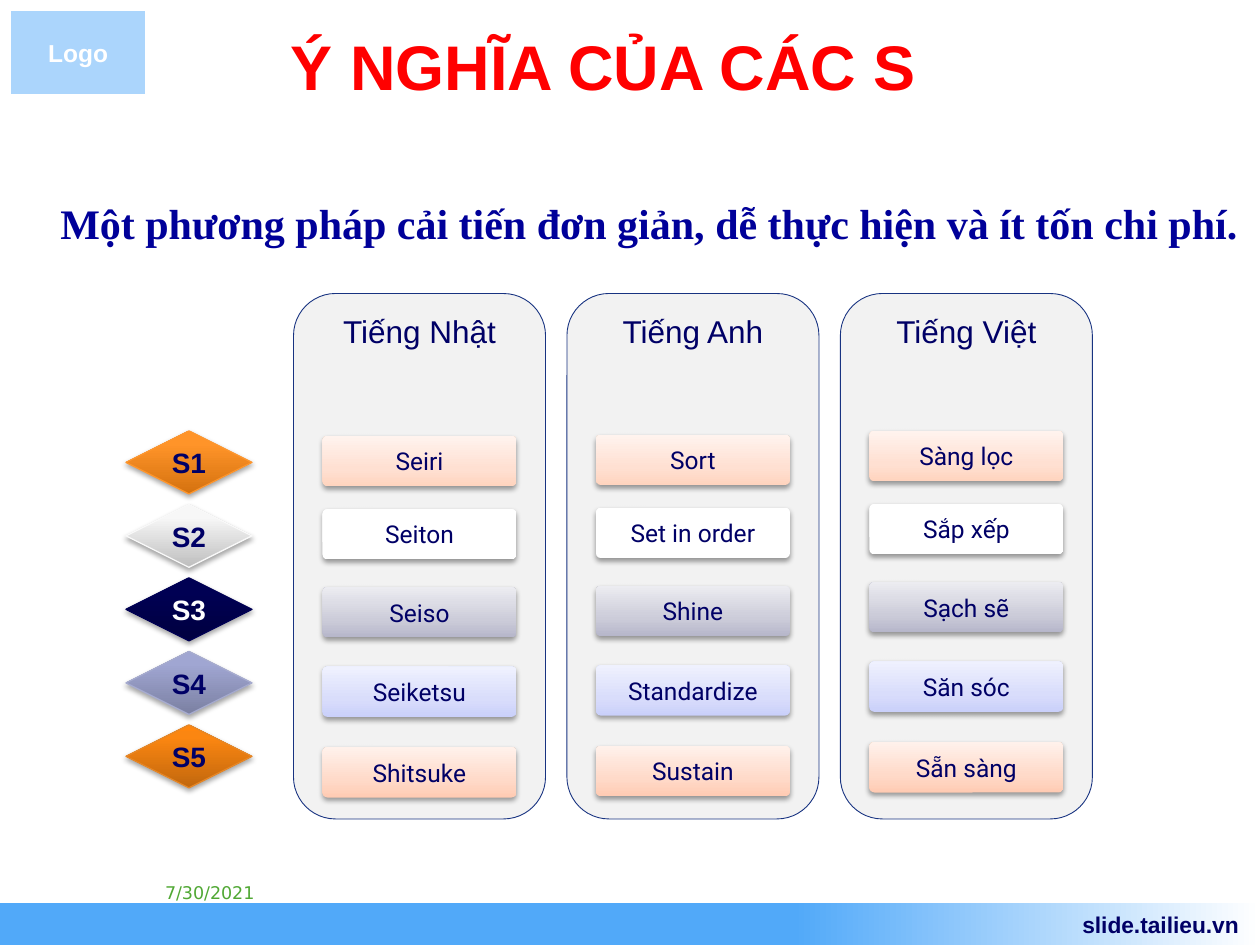
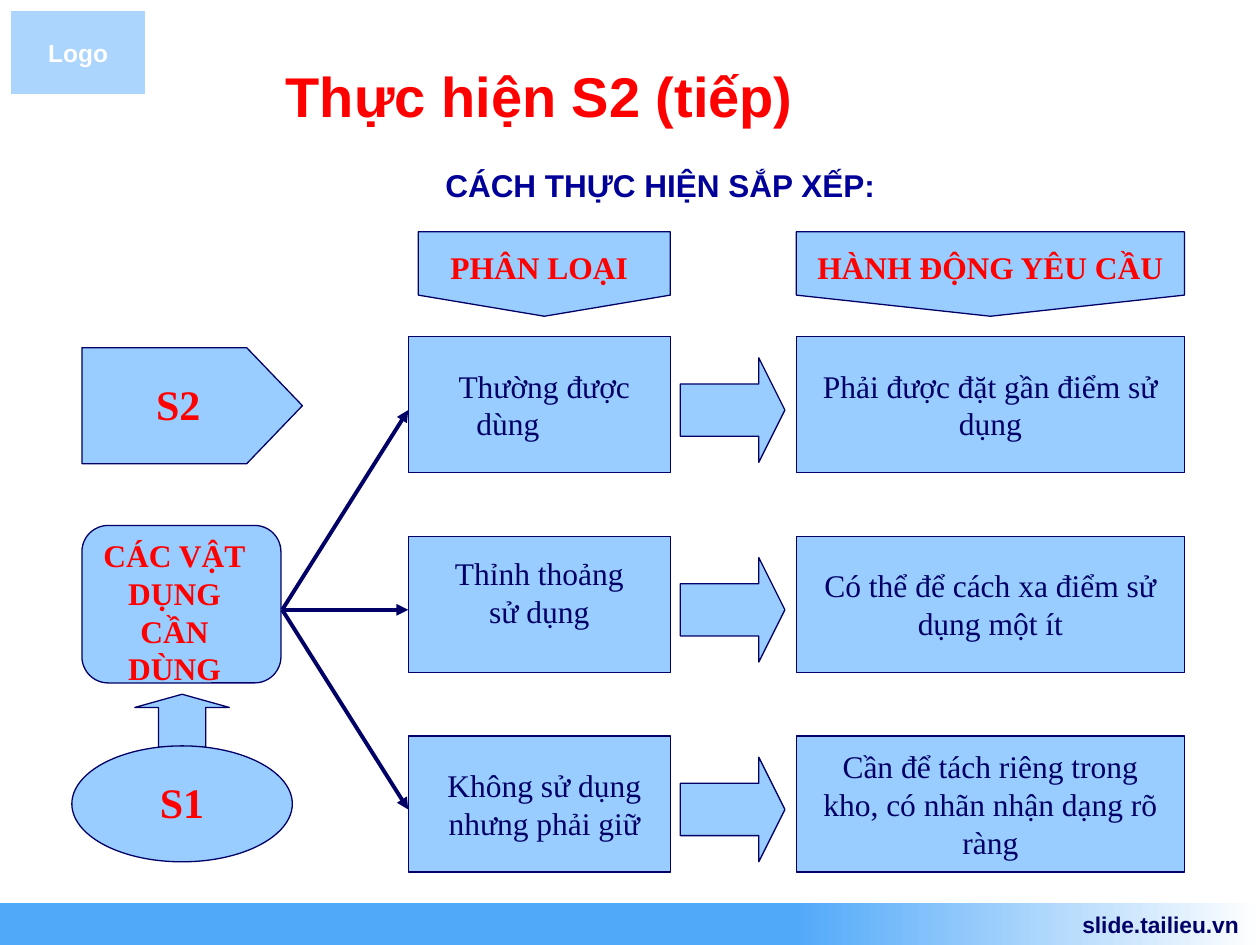
from dataclasses import dataclass

from lxml import etree
from pptx import Presentation
from pptx.dml.color import RGBColor
from pptx.enum.shapes import MSO_CONNECTOR, MSO_SHAPE
from pptx.enum.text import MSO_ANCHOR, PP_ALIGN
from pptx.oxml.ns import qn
from pptx.util import Inches, Pt

RECT, ROUND_RECT = MSO_SHAPE.RECTANGLE, MSO_SHAPE.ROUNDED_RECTANGLE
DIAMOND, OVAL, PENTAGON = MSO_SHAPE.DIAMOND, MSO_SHAPE.OVAL, MSO_SHAPE.PENTAGON
RIGHT_ARROW, UP_ARROW = MSO_SHAPE.RIGHT_ARROW, MSO_SHAPE.UP_ARROW
STRAIGHT = MSO_CONNECTOR.STRAIGHT
LEFT, CENTER = PP_ALIGN.LEFT, PP_ALIGN.CENTER
TOP, MIDDLE = MSO_ANCHOR.TOP, MSO_ANCHOR.MIDDLE


@dataclass(frozen=True)
class Theme:
    navy: str = "000066"
    heading: str = "000099"
    red: str = "FF0000"
    white: str = "FFFFFF"
    green: str = "50A834"
    band: str = "51A9F9"
    panel: str = "F2F2F2"
    panel_line: str = "183381"
    box: str = "99CCFF"
    sans: str = "Arial"
    serif: str = "Times New Roman"
    cell_font: str = "Roboto"
    date_font: str = "DejaVu Sans"
    title: int = 36
    title_small: int = 32
    lead: int = 24
    body: int = 18
    badge: int = 16
    small: int = 14
    footer: int = 13
    date: int = 10


T = Theme()


def style(size, color=T.navy, name=T.sans, bold=False):
    return {"size": Pt(size), "name": name, "bold": bold, "color": color}


TITLE = style(T.title, T.red, bold=True)
TITLE_SMALL = style(T.title_small, T.red, bold=True)
LEAD = style(T.lead, T.heading, T.serif, True)
SUBTITLE = style(T.body, T.heading, bold=True)
COLUMN_HEAD = style(T.body)
CELL = style(T.small, name=T.cell_font)
STEP = style(T.lead, T.red, T.serif, True)
FLOW_HEAD = style(T.body, T.red, T.serif, True)
FLOW_BODY = style(T.body, name=T.serif)
FOOTER = style(T.footer, bold=True)
LOGO = style(T.small, T.white, bold=True)
DATE = style(T.date, T.green, T.date_font)

# Rows of the table of S words: badge colours, then cell colours
BADGES = [
    (["D5720F", "FF9429", "FF952B"], "FE962D", T.navy),
    (["BEBEBE", "F7F7F7", "F8F8F8"], "F9F9F9", T.navy),
    (["000040", "000053", "000054"], "000054", T.white),
    (["7B80A2", "A0A6D2", "A0A6D4"], "A6ABCF", T.navy),
    (["C1670D", "FB8611", "FF860E"], "E68727", T.navy),
]
CELL_ROWS = [
    (3.46, ["FFD4BF", "FFE0D2", "FFF3EE"]),
    (4.04, [T.white] * 3),
    (4.66, ["B6B6CA", "CCCCD9", "ECECF1"]),
    (5.29, ["CAD0FA", "D9DDFB", "EFF1FE"]),
    (5.93, ["FFCBB3", "FFDAC9", "FFF1EB"]),
]
# Heading, rise of the cells, words
LANGUAGES = [
    ("Tiếng Nhật", 0, ["Seiri", "Seiton", "Seiso", "Seiketsu", "Shitsuke"]),
    ("Tiếng Anh", 0.01, ["Sort", "Set in order", "Shine", "Standardize", "Sustain"]),
    ("Tiếng Việt", 0.04, ["Sàng lọc", "Sắp xếp", "Sạch sẽ", "Săn sóc", "Sẵn sàng"]),
]
# Category lines with right indents, shift of the category text, action
FLOW_ROWS = [
    ([("Thường được", 0), ("dùng", 0.58)], (0.04, 0),
     "Phải được đặt gần điểm sử dụng"),
    ([("Thỉnh thoảng sử dụng", 0)], (0, -0.1),
     "Có thể để cách xa điểm sử dụng một ít"),
    ([("Không sử dụng nhưng phải giữ", 0)], (0.04, 0),
     "Cần để tách riêng trong kho, có nhãn nhận dạng rõ ràng"),
]


def rgb(value):
    return RGBColor.from_string(value)


def write(sp, lines, fmt, align=CENTER, anchor=MIDDLE, wrap=True,
          margin=(0.1, 0.05), shift=(0, 0)):
    """Fill a shape with lines, each a text or a (text, right indent) pair."""
    tf = sp.text_frame
    (mx, my), (dx, dy) = margin, shift
    frame = {"word_wrap": wrap, "vertical_anchor": anchor,
             "margin_left": Inches(mx + dx), "margin_right": Inches(mx - dx),
             "margin_top": Inches(my + dy), "margin_bottom": Inches(my - dy)}
    for key, value in frame.items():
        setattr(tf, key, value)
    for i, line in enumerate([lines] if isinstance(lines, str) else lines):
        text, indent = (line, 0) if isinstance(line, str) else line
        p = tf.add_paragraph() if i else tf.paragraphs[0]
        p.alignment = align
        if indent:
            p._p.get_or_add_pPr().set("marR", str(Inches(indent)))
        r = p.add_run()
        r.text = text
        for key, value in fmt.items():
            if key == "color":
                r.font.color.rgb = rgb(value)
            else:
                setattr(r.font, key, value)


def add_text(s, box, lines, fmt, **options):
    sp = s.shapes.add_textbox(*map(Inches, box))
    write(sp, lines, fmt, **options)


def add_shape(s, kind, box, fill=T.box, line=T.navy, width=0.75, adj=()):
    sp = s.shapes.add_shape(kind, *map(Inches, box))
    sp.shadow.inherit = False
    sp.fill.solid()
    sp.fill.fore_color.rgb = rgb(fill)
    if line:
        sp.line.color.rgb = rgb(line)
        sp.line.width = Pt(width)
    else:
        sp.line.fill.background()
    for i, value in enumerate(adj):
        sp.adjustments[i] = value
    return sp


def set_gradient(sp, colors, positions, angle):
    sp.fill.gradient()
    sp.fill.gradient_angle = angle
    stops = sp._element.spPr.find(qn("a:gradFill")).find(qn("a:gsLst"))
    for stop in list(stops):
        stops.remove(stop)
    for color, pos in zip(colors, positions):
        stop = etree.SubElement(stops, qn("a:gs"), pos=str(pos * 1000))
        etree.SubElement(stop, qn("a:srgbClr"), val=color)


def set_alpha(sp, percent):
    color = sp._element.spPr.find(qn("a:solidFill"))[0]
    etree.SubElement(color, qn("a:alpha"), val=str(percent * 1000))


def add_shadow(sp, percent):
    effects = sp._element.spPr.find(qn("a:effectLst"))
    shadow = etree.SubElement(effects, qn("a:outerShdw"), blurRad=str(Pt(3.1)),
                              dist=str(Pt(1.7)), dir="5400000", rotWithShape="0")
    color = etree.SubElement(shadow, qn("a:srgbClr"), val="000000")
    etree.SubElement(color, qn("a:alpha"), val=str(percent * 1000))


def add_arrow(s, start, end):
    c = s.shapes.add_connector(STRAIGHT, *map(Inches, start + end))
    c.line.color.rgb = rgb(T.navy)
    c.line.width = Pt(2.25)
    etree.SubElement(c.line._get_or_add_ln(), qn("a:tailEnd"), type="triangle")
    etree.SubElement(c._element.spPr, qn("a:effectLst"))


def add_down_plate(s, left, width, text, shift=0):
    """Heading plate whose point faces down, with upright text over it."""
    top, height = 1.84, 0.67
    box = (left + (width - height) / 2, top + (height - width) / 2, height, width)
    sp = add_shape(s, PENTAGON, box, adj=[0.25])
    sp.rotation = 90
    add_text(s, (left + shift, 1.92, width, 0.4), text, FLOW_HEAD)


def add_slide(prs):
    """Blank slide with the footer band, the site address and the logo block."""
    s = prs.slides.add_slide(prs.slide_layouts[6])
    band = add_shape(s, RECT, (0, 7.17, 10, 0.33), line=None)
    set_gradient(band, [T.band, T.band, T.white], [0, 63, 100], 0)
    add_text(s, (8.42, 7.18, 1.58, 0.32), "slide.tailieu.vn", FOOTER, wrap=False)
    logo = add_shape(s, RECT, (0.08, 0.08, 1.08, 0.67), T.band, T.white, 1)
    set_alpha(logo, 48)
    write(logo, "Logo", LOGO, wrap=False)
    return s


def add_badge(s, number, colors, line, text_color):
    sp = add_shape(s, DIAMOND, (1, 3.42 + (number - 1) * 7 / 12, 1, 0.5), line=line)
    set_gradient(sp, colors, [0, 80, 100], 90)
    add_shadow(sp, 35)
    write(sp, f"S{number}", style(T.badge, text_color, bold=True),
          wrap=False, margin=(0, 0))


def add_language_column(s, left, heading, rise, words):
    panel = add_shape(s, ROUND_RECT, (left, 2.33, 2, 4.17), T.panel, T.panel_line, 0.5)
    write(panel, heading, COLUMN_HEAD, anchor=TOP)
    for word, (top, colors) in zip(words, CELL_ROWS):
        cell = add_shape(s, ROUND_RECT, (left + 0.23, top - rise, 1.54, 0.4),
                         line=None, adj=[0.1])
        set_gradient(cell, colors, [0, 35, 100], 90)
        add_shadow(cell, 38)
        write(cell, word, CELL, margin=(0.04, 0.03))


def build_meaning_slide(prs):
    s = add_slide(prs)
    add_text(s, (0.75, 0.21, 8.08, 0.62), "Ý NGHĨA CỦA CÁC S", TITLE)
    add_text(s, (0.5, 6.95, 2.33, 0.4), "7/30/2021", DATE, anchor=TOP)
    add_text(s, (0.38, 1.52, 9.58, 0.82),
             "Một phương pháp cải tiến đơn giản, dễ thực hiện và ít tốn chi phí.",
             LEAD, align=LEFT, anchor=TOP, wrap=False)
    for i, language in enumerate(LANGUAGES):
        add_language_column(s, 2.33 + 2.17 * i, *language)
    for number, badge in enumerate(BADGES, 1):
        add_badge(s, number, *badge)


def build_sorting_slide(prs):
    s = add_slide(prs)
    add_text(s, (2.17, 0.42, 4.66, 0.67), "Thực hiện S2 (tiếp)", TITLE_SMALL, align=LEFT)
    add_text(s, (0.74, 1.09, 9, 0.75), "CÁCH THỰC HIỆN SẮP XẾP:", SUBTITLE)
    add_down_plate(s, 3.32, 2, "PHÂN LOẠI", shift=-0.04)
    add_down_plate(s, 6.32, 3.08, "HÀNH ĐỘNG YÊU CẦU")

    s2 = add_shape(s, PENTAGON, (0.65, 2.76, 1.75, 0.92), adj=[0.48])
    write(s2, "S2", STEP, shift=(0, -0.02))
    items = add_shape(s, ROUND_RECT, (0.65, 4.17, 1.58, 1.25))
    write(items, [("CÁC VẬT", 0.19), "DỤNG CẦN", "DÙNG"], FLOW_HEAD,
          margin=(0.04, 0.05), shift=(0.04, 0.06))
    add_shape(s, UP_ARROW, (1.07, 5.51, 0.75, 0.42), adj=[0.5, 0.25])
    s1 = add_shape(s, OVAL, (0.57, 5.92, 1.75, 0.92))
    write(s1, "S1", STEP, shift=(0, -0.02))

    for i, (category, shift, action) in enumerate(FLOW_ROWS):
        top = 2.67 + 1.585 * i
        sp = add_shape(s, RECT, (3.24, top, 2.08, 1.08))
        write(sp, category, FLOW_BODY, margin=(0.26, 0.1), shift=shift)
        add_shape(s, RIGHT_ARROW, (5.4, top + 0.17, 0.83, 0.83), adj=[0.5, 0.25])
        sp = add_shape(s, RECT, (6.32, top, 3.08, 1.08))
        write(sp, action, FLOW_BODY, margin=(0.18, 0.1))
        add_arrow(s, (2.24, 4.84), (3.24, top + 0.585))


def main():
    prs = Presentation()
    prs.slide_width, prs.slide_height = Inches(10), Inches(7.5)
    build_meaning_slide(prs)
    build_sorting_slide(prs)
    prs.save("out.pptx")


if __name__ == "__main__":
    main()
